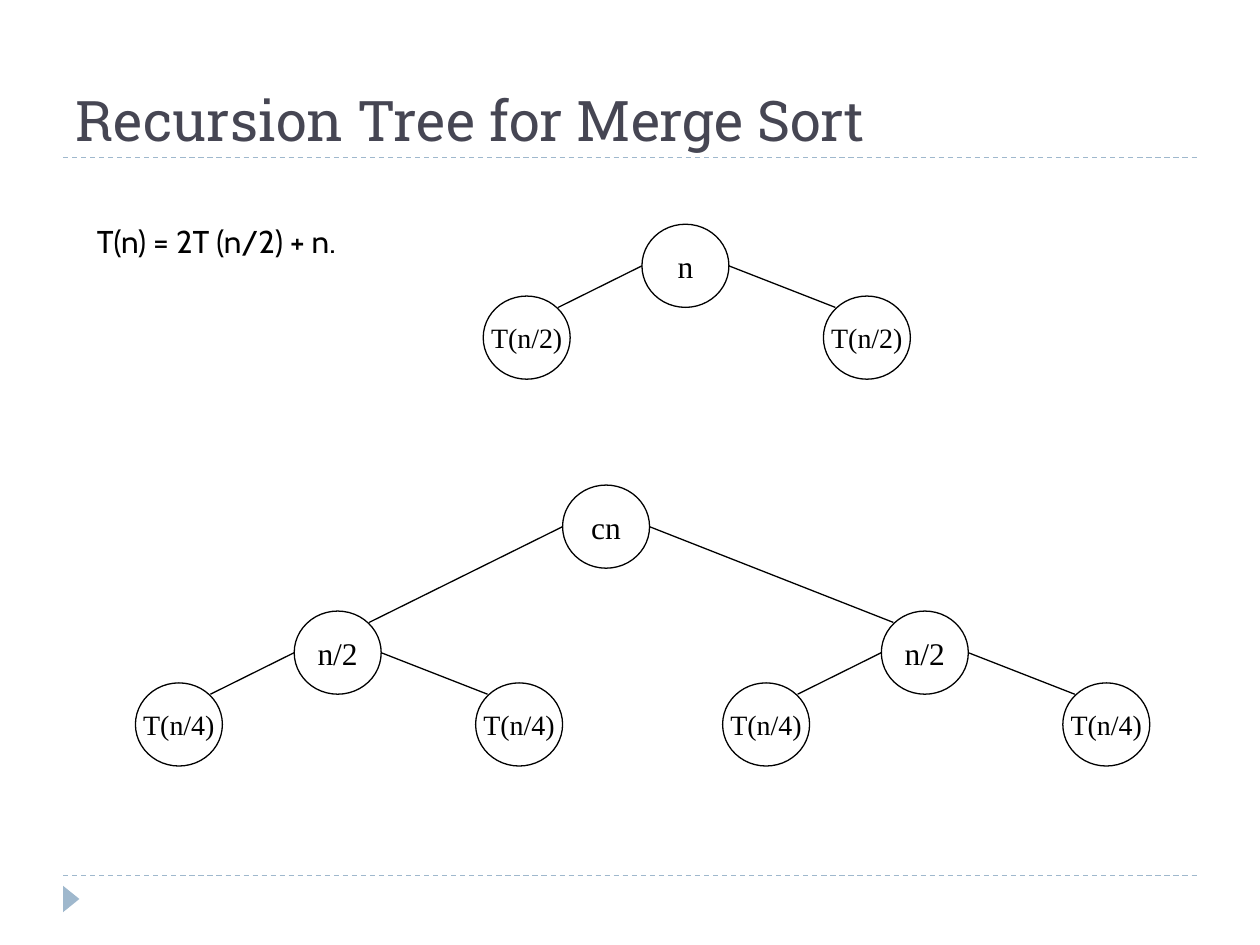
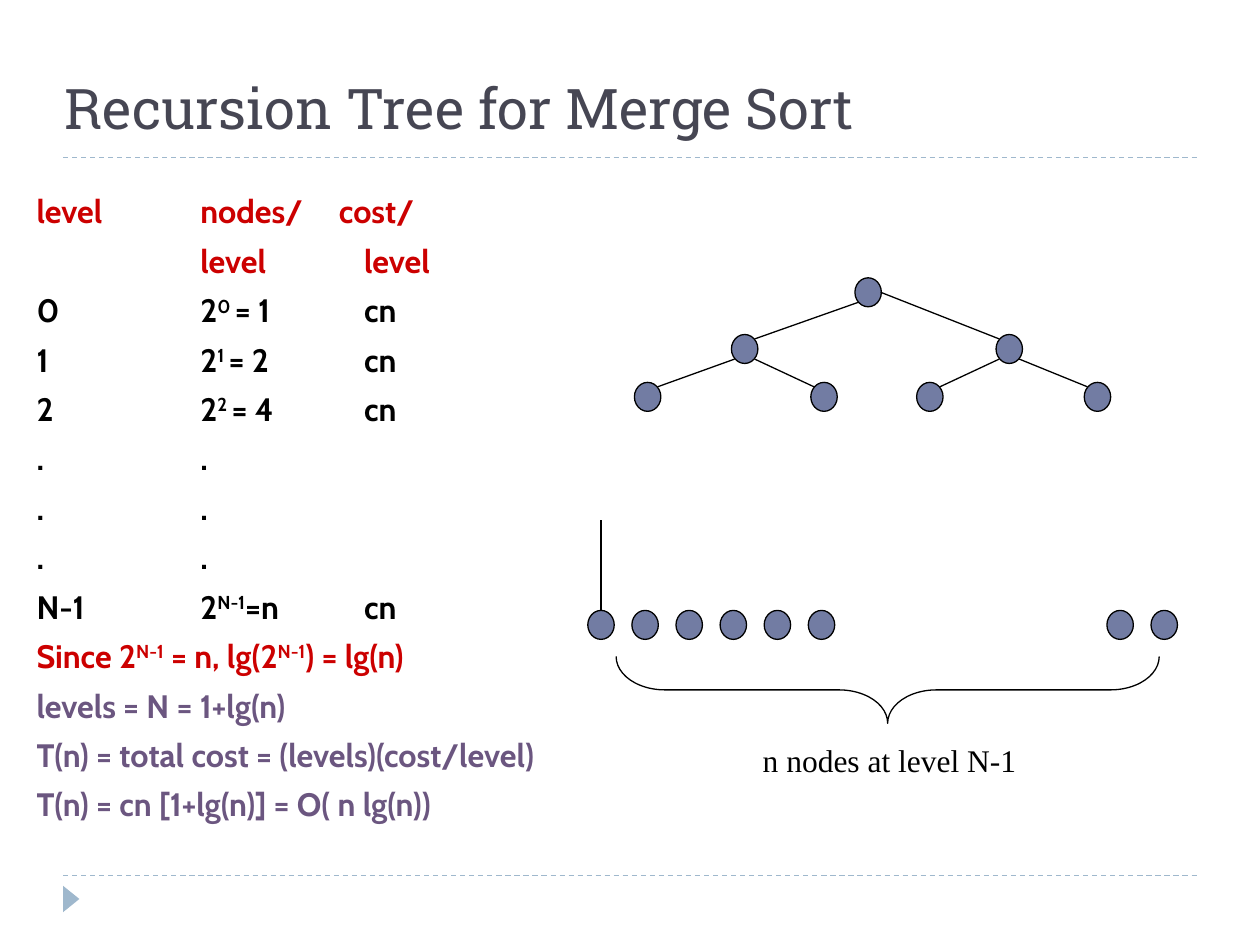
from lxml.etree import SubElement
from pptx import Presentation
from pptx.dml.color import RGBColor
from pptx.enum.dml import MSO_LINE
from pptx.enum.shapes import MSO_CONNECTOR, MSO_SHAPE
from pptx.enum.text import MSO_ANCHOR, MSO_AUTO_SIZE, PP_ALIGN
from pptx.oxml.ns import qn
from pptx.util import Inches, Pt

BLACK, RED, PURPLE = "000000", "CC0000", "6B5680"
SLATE, BAND, DOT = "464653", "9FB8CD", "727CA3"
HEAD_FONT, BODY_FONT, NODE_FONT = "Roboto Slab", "Cabin", "Times New Roman"
TITLE = "Recursion Tree for Merge Sort"
NODE_W, NODE_H = 0.69, 0.66
DOT_W, DOT_H = 0.21, 0.23

# Rows of the cost list: colour, (hanging indent, tab step),
# runs (every second run is raised)
COLUMNS = (0, 1.3)
COST_ROWS = [
    (RED, (0.2, 1.1), ["level\tnodes/\tcost/"]),
    (RED, COLUMNS, ["\tlevel\tlevel"]),
    (BLACK, COLUMNS, ["0\t2", "0 ", "= 1\tcn"]),
    (BLACK, COLUMNS, ["1\t2", "1 ", "= 2\tcn"]),
    (BLACK, COLUMNS, ["2\t2", "2 ", "= 4\tcn"]),
    *[(BLACK, COLUMNS, [".\t."])] * 3,
    (BLACK, COLUMNS, ["N-1\t2", "N-1", "=n\tcn"]),
    (RED, COLUMNS, ["Since 2", "N-1", " = n, lg(2", "N-1", ") = lg(n)"]),
    (PURPLE, COLUMNS, ["levels = N = 1+lg(n)"]),
    (PURPLE, COLUMNS, ["T(n) = total cost = (levels)(cost/level)"]),
    (PURPLE, COLUMNS, ["T(n) = cn [1+lg(n)] = O( n lg(n))"]),
]


def rgb(color):
    """Turn a hex string into a colour."""
    return RGBColor.from_string(color)


def place(shape, left, top, width, height):
    """Move and size a shape, in inches."""
    shape.left, shape.top = Inches(left), Inches(top)
    shape.width, shape.height = Inches(width), Inches(height)


def add_run(p, text, size, font, color=BLACK, bold=False):
    """Add one formatted run to a paragraph."""
    r = p.add_run()
    r.text = text
    r.font.size, r.font.name, r.font.bold = Pt(size), font, bold
    r.font.color.rgb = rgb(color)
    return r


def add_line(s, x1, y1, x2, y2, color=BLACK, dash=None):
    """Draw a thin straight line without a shadow."""
    line = s.shapes.add_connector(MSO_CONNECTOR.STRAIGHT, Inches(x1), Inches(y1),
                                  Inches(x2), Inches(y2))
    line.line.color.rgb = rgb(color)
    line.line.width = Pt(0.75)
    if dash:
        line.line.dash_style = dash
    SubElement(line._element.spPr, qn("a:effectLst"))


def add_shape(s, kind, left, top, width, height, fill=None, line=BLACK):
    """Draw a flat preset shape."""
    sp = s.shapes.add_shape(kind, Inches(left), Inches(top), Inches(width), Inches(height))
    sp.shadow.inherit = False
    if fill:
        sp.fill.solid()
        sp.fill.fore_color.rgb = rgb(fill)
    else:
        sp.fill.background()
    if line:
        sp.line.color.rgb = rgb(line)
        sp.line.width = Pt(0.75)
    else:
        sp.line.fill.background()
    return sp


def add_label(s, left, top, width, height, text, font, align=PP_ALIGN.LEFT):
    """Add a one-line text box."""
    tf = s.shapes.add_textbox(Inches(left), Inches(top), Inches(width), Inches(height)).text_frame
    tf.word_wrap = False
    tf.auto_size = MSO_AUTO_SIZE.SHAPE_TO_FIT_TEXT
    p = tf.paragraphs[0]
    p.alignment = align
    add_run(p, text, 18, font)


def add_slide(prs, layout, title_box, title_inset):
    """Add a slide with its title, dashed rules and footer marker."""
    s = prs.slides.add_slide(prs.slide_layouts[layout])
    for y in (6.95, 1.25):
        add_line(s, 0.5, y, 9.5, y, BAND, MSO_LINE.DASH)
    add_shape(s, MSO_SHAPE.ISOSCELES_TRIANGLE, 0.46, 7.07, 0.21, 0.13, BAND, None).rotation = 90
    place(s.shapes.title, *title_box)
    tf = s.shapes.title.text_frame
    tf.auto_size = MSO_AUTO_SIZE.NONE
    tf.vertical_anchor = MSO_ANCHOR.BOTTOM
    tf.margin_left = Inches(title_inset)
    p = tf.paragraphs[0]
    p.alignment = PP_ALIGN.LEFT
    add_run(p, TITLE, 32, HEAD_FONT, SLATE)
    return s


def add_node(s, cx, cy, text, size):
    """Draw a labelled tree node around its centre."""
    sp = add_shape(s, MSO_SHAPE.OVAL, cx - NODE_W / 2, cy - NODE_H / 2, NODE_W, NODE_H)
    tf = sp.text_frame
    tf.word_wrap = False
    tf.vertical_anchor = MSO_ANCHOR.MIDDLE
    p = tf.paragraphs[0]
    p.alignment = PP_ALIGN.CENTER
    add_run(p, text, size, NODE_FONT)


def add_tree(s, cx, cy, labels, offsets):
    """Draw a node and, level by level, its left and right subtrees."""
    add_node(s, cx, cy, labels[0], 18 if offsets else 16)
    if not offsets:
        return
    left, right, drop = offsets[0]
    for side, dx in ((-1, left), (1, right)):
        x, y = cx + side * dx, cy + drop
        add_line(s, cx + side * NODE_W / 2, cy, x - side * 0.25, y - 0.24)
        add_tree(s, x, y, labels[1:], offsets[1:])


def add_dot(s, cx, cy):
    """Draw a small filled node around its centre."""
    add_shape(s, MSO_SHAPE.OVAL, cx - DOT_W / 2, cy - DOT_H / 2, DOT_W, DOT_H, DOT)


def add_dot_tree(s):
    """Draw the top three levels of the dot tree."""
    levels = [(2.32, [6.89]), (2.77, [5.91, 8.01]), (3.15, [5.14, 6.54, 7.38, 8.71])]
    for depth, (y, xs) in enumerate(levels):
        for i, x in enumerate(xs):
            add_dot(s, x, y)
            if depth:
                parent_y, parents = levels[depth - 1]
                side = 1 if i % 2 else -1
                # The right edge of the root leaves from its side
                dx, dy = (0.1, 0) if depth == 1 and side == 1 else (0.08, 0.08)
                add_line(s, parents[i // 2] + side * dx, parent_y + dy,
                         x - side * 0.08, y - 0.08)


def add_bottom_level(s):
    """Draw the last row of dots with its brace and caption."""
    for first, count in ((4.77, 6), (8.89, 2)):
        for i in range(count):
            add_dot(s, first + 0.35 * i, 4.96)
    add_line(s, 4.77, 4.85, 4.77, 4.13)
    brace = add_shape(s, MSO_SHAPE.LEFT_BRACE, 6.78, 3.32, 0.53, 4.31)
    brace.rotation = 270
    brace.adjustments[0] = 0.73
    add_label(s, 5.62, 5.83, 2.88, 0.5, "n nodes at level N-1", NODE_FONT, PP_ALIGN.CENTER)


def set_columns(p, indent, step):
    """Remove the bullet and set the hanging indent and tab step."""
    pPr = p._p.get_or_add_pPr()
    pPr.set("marL", str(Inches(indent)))
    pPr.set("indent", str(-Inches(indent)))
    pPr.set("defTabSz", str(Inches(step)))
    SubElement(pPr, qn("a:buNone"))


def add_cost_list(s):
    """Fill the body placeholder with the cost of each level."""
    body = s.placeholders[1]
    place(body, 0.19, 1.47, 4.5, 5.17)
    tf = body.text_frame
    tf.auto_size = MSO_AUTO_SIZE.NONE
    for i, (color, columns, runs) in enumerate(COST_ROWS):
        p = tf.add_paragraph() if i else tf.paragraphs[0]
        p.space_before = Pt(6)
        set_columns(p, *columns)
        for j, text in enumerate(runs):
            r = add_run(p, text, 18.5, BODY_FONT, color, True)
            if j % 2:
                r._r.get_or_add_rPr().set("baseline", "30000")


def main():
    """Build both slides and save them."""
    prs = Presentation()
    prs.slide_width, prs.slide_height = Inches(10), Inches(7.5)

    s = add_slide(prs, 5, (0.5, 0.18, 9, 1.08), 0.1)
    add_label(s, 0.67, 1.71, 2.33, 0.4, "T(n) = 2T (n/2) + n.", BODY_FONT)
    split = (1.26, 1.44, 0.57)
    add_tree(s, 5.44, 2.11, ["n", "T(n/2)"], [split])
    add_tree(s, 4.81, 4.18, ["cn", "n/2", "T(n/4)"], [(2.13, 2.53, 1), split])

    s = add_slide(prs, 1, (0, 0.34, 9, 0.83), 0.51)
    add_cost_list(s)
    add_dot_tree(s)
    add_bottom_level(s)

    prs.save("out.pptx")


main()
